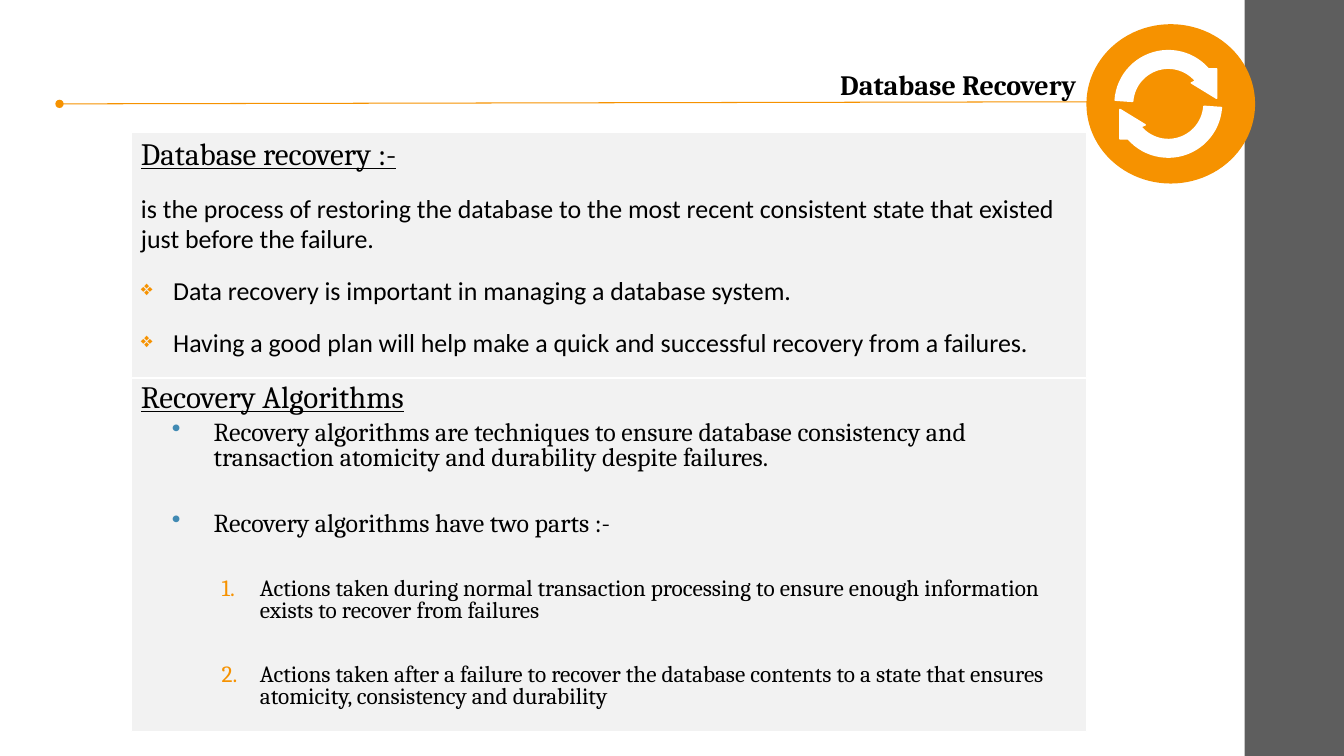
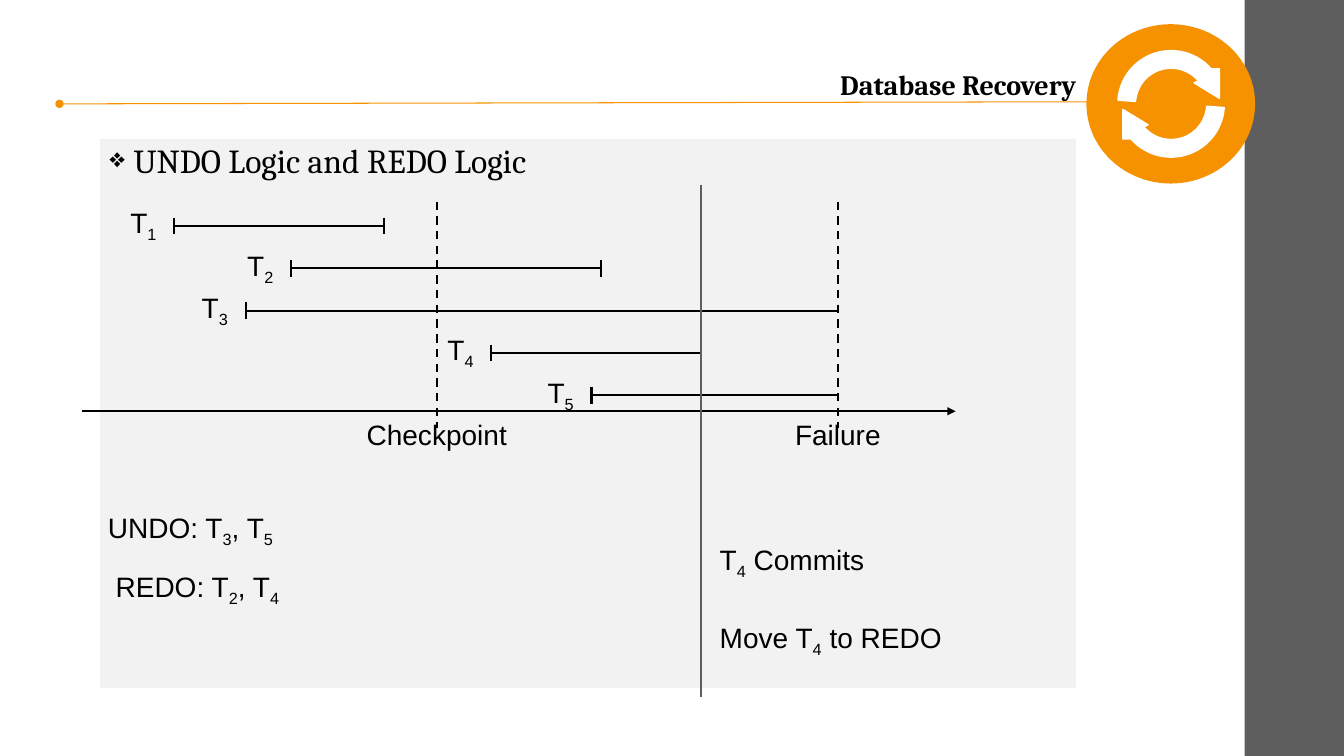
from itertools import groupby
from math import cos, radians, sin

from lxml.etree import SubElement
from pptx import Presentation
from pptx.dml.color import RGBColor
from pptx.enum.dml import MSO_LINE
from pptx.enum.shapes import MSO_CONNECTOR, MSO_SHAPE
from pptx.enum.text import MSO_ANCHOR, MSO_AUTO_SIZE, PP_ALIGN
from pptx.oxml.ns import qn
from pptx.util import Pt

rgb = RGBColor.from_string
ORANGE, GREY, PALE = "F69200", "5E5E5E", "F2F2F2"
BLACK, WHITE, BLUE = "000000", "FFFFFF", "418AB3"


def draw(slide, start, end, color=BLACK, width=1.5, dash=None, tip=None):
    line = slide.shapes.add_connector(
        MSO_CONNECTOR.STRAIGHT, *[Pt(n) for n in start + end])
    line.line.color.rgb = rgb(color)
    line.line.width = Pt(width)
    if dash:
        line.line.dash_style = dash
    props = line._element.spPr
    if tip:
        SubElement(props.find(qn("a:ln")), qn("a:" + tip[0]), type=tip[1])
    SubElement(props, qn("a:effectLst"))


def write(para, text, size=20, font="Arial", align=PP_ALIGN.LEFT):
    para.alignment = align
    for low, part in groupby(text, str.isdigit):
        run = para.add_run()
        run.text = "".join(part)
        run.font.size = Pt(size)
        run.font.name = font
        run.font.color.rgb = rgb(BLACK)
        if low:
            run._r.get_or_add_rPr().set("baseline", "-25000")


deck = Presentation()
deck.slide_width, deck.slide_height = Pt(960), Pt(540)

half = [(38 * cos(radians(a)), 38 * sin(radians(a))) for a in range(4, 144, 5)]
half += [(-34.5, 25), (-34.5, 4), (-16.5, 15), (-20, 16.5)]
half += [(25.5 * cos(radians(a)), 25.5 * sin(radians(a)))
         for a in range(139, 3, -5)]

pages = []
for mid in (834.5, 836.5):
    slide = deck.slides.add_slide(deck.slide_layouts[5])
    pages.append(slide)
    title = slide.shapes.title
    title.left, title.top, title.width, title.height = [
        Pt(n) for n in (125, 44.6, 651, 27.4)]
    frame = title.text_frame
    frame.auto_size = MSO_AUTO_SIZE.NONE
    frame.vertical_anchor = MSO_ANCHOR.TOP
    write(frame.paragraphs[0], "Database Recovery", 20, "Cambria",
          PP_ALIGN.RIGHT)
    frame.paragraphs[0].runs[0].font.bold = True

    for kind, box, color in (
            (MSO_SHAPE.RECTANGLE, (889, 0, 71, 540), GREY),
            (MSO_SHAPE.OVAL, (776, 17.3, 120.5, 113.8), ORANGE)):
        shape = slide.shapes.add_shape(kind, *[Pt(n) for n in box])
        shape.shadow.inherit = False
        shape.fill.solid()
        shape.fill.fore_color.rgb = rgb(color)
        shape.line.fill.background()
    draw(slide, (42.5, 74.2), (783.4, 72.7), ORANGE, 0.75,
         tip=("headEnd", "oval"))

    spots = [[(Pt(mid + s * x), Pt(74.2 + s * y)) for x, y in half]
             for s in (1, -1)]
    pen = slide.shapes.build_freeform(*spots[0][0])
    pen.add_line_segments(spots[0][1:])
    pen.move_to(*spots[1][0])
    pen.add_line_segments(spots[1][1:])
    icon = pen.convert_to_shape()
    icon.shadow.inherit = False
    icon.fill.solid()
    icon.fill.fore_color.rgb = rgb(WHITE)
    icon.line.color.rgb = rgb(WHITE)
    icon.line.width = Pt(1.1)

first, second = pages
head = dict(size=22.2, under=True)
plain = dict(size=18.5, font="Calibri")
gem = dict(plain, mark="❖", color=ORANGE, left=23, hang=23)
dot = dict(size=18.5, level=1, left=52, hang=30, mark="•", color=BLUE, after=3)
step = dict(size=16.6, level=2, left=85, hang=27.4, mark="1.", color=ORANGE,
            before=26.4, after=3)
panels = [
    (first, (93.6, 94.3, 682.6, 175.7), 0.95, [
        ("Database recovery :-", head),
        ("is the process of restoring the database to the most recent "
         "consistent state that existed just before the failure.", plain),
        ("Data recovery is important in managing a database system.", gem),
        ("Having a good plan will help make a quick and successful recovery "
         "from a failures.", gem)]),
    (first, (93.6, 270, 682.6, 252.7), 0.8, [
        ("Recovery Algorithms", dict(head, space=0.85)),
        ("Recovery algorithms are techniques to ensure database consistency "
         "and transaction atomicity and durability despite failures.",
         dict(dot, before=3)),
        ("Recovery algorithms have two parts :-", dict(dot, before=26.4)),
        ("Actions taken during normal transaction processing to ensure enough "
         "information exists to recover from failures", step),
        ("Actions taken after a failure to recover the database contents to a "
         "state that ensures atomicity, consistency and durability", step)]),
    (second, (71.3, 98.7, 697.7, 393), 0.95, [
        ("UNDO Logic and REDO Logic",
         dict(size=24, mark="❖", color=BLACK, left=17, hang=17))]),
]
for slide, box, space, rows in panels:
    panel = slide.shapes.add_shape(MSO_SHAPE.RECTANGLE, *[Pt(n) for n in box])
    panel.shadow.inherit = False
    panel.fill.solid()
    panel.fill.fore_color.rgb = rgb(PALE)
    panel.line.color.rgb = rgb(WHITE)
    panel.line.width = Pt(0.75)
    frame = panel.text_frame
    frame.word_wrap = True
    frame.vertical_anchor = MSO_ANCHOR.TOP
    for i, (text, look) in enumerate(rows):
        para = frame.add_paragraph() if i else frame.paragraphs[0]
        write(para, text, look["size"], look.get("font", "Cambria"))
        para.runs[0].font.underline = look.get("under", False)
        para.level = look.get("level", 0)
        para.line_spacing = look.get("space", space)
        para.space_before = Pt(look.get("before", 14))
        para.space_after = Pt(look.get("after", 2))
        mark = look.get("mark")
        if mark:
            props = para._p.get_or_add_pPr()
            props.set("marL", str(Pt(look["left"])))
            props.set("indent", str(-Pt(look["hang"])))
            tint = SubElement(props, qn("a:buClr"))
            SubElement(tint, qn("a:srgbClr"), val=look["color"])
            if mark == "❖":
                SubElement(props, qn("a:buSzPct"), val="80000")
            if mark == "1.":
                SubElement(props, qn("a:buAutoNum"), type="arabicPeriod")
            else:
                SubElement(props, qn("a:buChar"), char=mark)

check, commit, fail = 312, 500.5, 598.5
for x in (check, fail):
    draw(second, (x, 144), (x, 306), dash=MSO_LINE.DASH)
draw(second, (58.3, 293.8), (682.6, 293.8), tip=("tailEnd", "triangle"))

notes = [
    (check - 65, 295, 130, 31.5, ["Checkpoint"], PP_ALIGN.CENTER),
    (fail - 65, 295, 130, 31.5, ["Failure"], PP_ALIGN.CENTER),
    (70, 361, 235, 31.5, ["UNDO: T3, T5"], PP_ALIGN.LEFT),
    (75.5, 403, 160, 31.5, ["REDO: T2, T4"], PP_ALIGN.LEFT),
    (507, 384, 189, 79, ["T4 Commits", "Move T4 to REDO"], PP_ALIGN.LEFT),
]
bars = [(124.5, 274.5), (208, 429), (175.5, fail), (351, commit),
        (422.5, fail)]
for i, (start, end) in enumerate(bars):
    y = 161.5 + 30.2 * i
    draw(second, (start, y), (end, y))
    for x in (start, end):
        if x != fail:
            draw(second, (x, y - 6), (x, y + 6))
    notes.append((start - 38.5, y - 18, 40, 31.5, [f"T{i + 1}"],
                  PP_ALIGN.LEFT))
draw(second, (commit, 132), (commit, 498), GREY)

for *box, rows, align in notes:
    frame = second.shapes.add_textbox(*[Pt(n) for n in box]).text_frame
    frame.word_wrap = True
    for i, text in enumerate(rows):
        para = frame.add_paragraph() if i else frame.paragraphs[0]
        write(para, text, align=align)
        para.space_before = Pt(28 * i)

deck.save("out.pptx")
